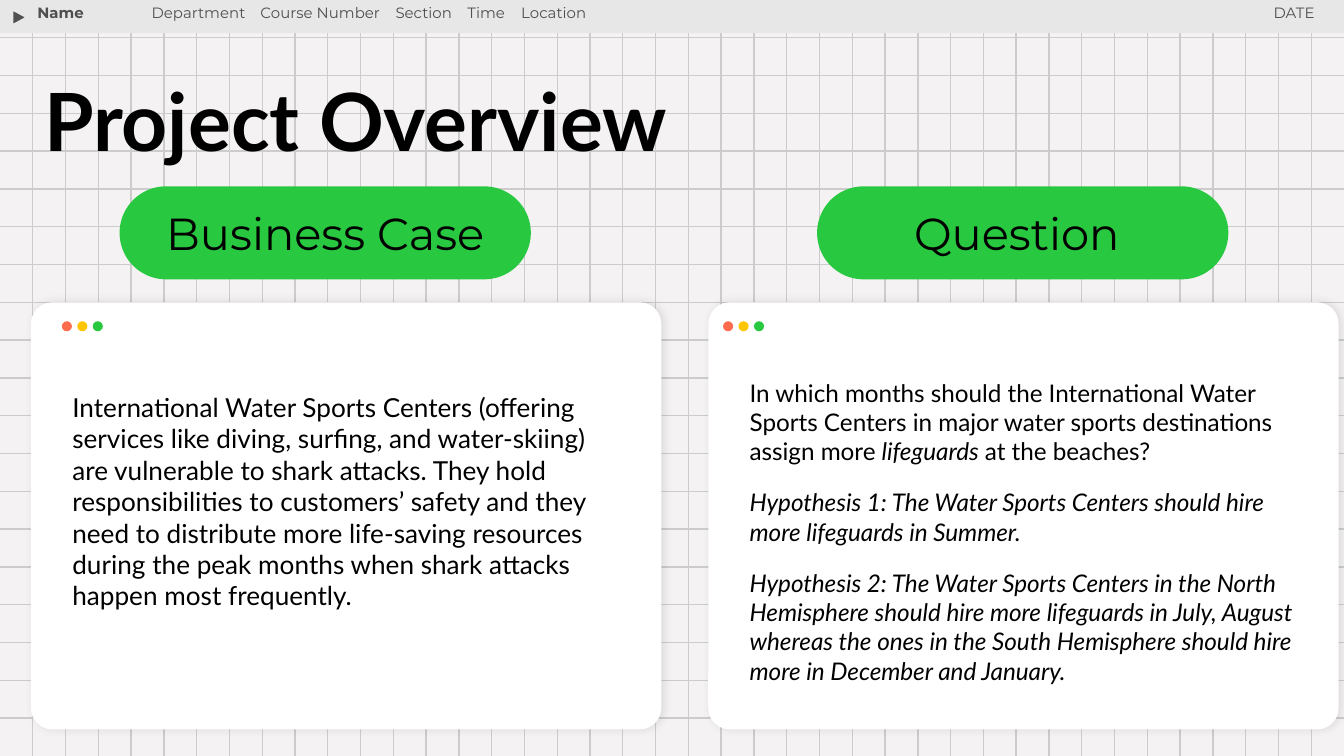
"""Build the Project Overview slide; places are percent of the slide's width and height."""
from dataclasses import dataclass
from typing import NamedTuple

from lxml.etree import SubElement
from pptx import Presentation
from pptx.dml.color import RGBColor
from pptx.enum.shapes import MSO_CONNECTOR, MSO_SHAPE
from pptx.enum.text import MSO_ANCHOR, PP_ALIGN
from pptx.oxml.ns import qn
from pptx.util import Emu, Inches, Pt

WIDE = Inches(10)
HIGH = int(WIDE * 9 / 16)
COLS, ROWS = 41, 20
BLACK, GREY, GREEN = "000000", "4F4F4F", "28C840"
LIGHTS = ("FF6B4D", "FFC600", GREEN)


class Box(NamedTuple):
    x: float
    y: float
    w: float
    h: float


class Run(NamedTuple):
    text: str
    slant: bool = False


@dataclass
class Style:
    size: float
    face: str = "Lato"
    ink: str = BLACK
    bold: bool = False
    align: PP_ALIGN = PP_ALIGN.LEFT
    gap: float = 0
    lead: float = 1.0
    tabs: tuple[float, ...] = ()


@dataclass
class Label:
    box: Box
    style: Style
    paras: list[list[Run]]


@dataclass
class Panel:
    left: float
    light: float
    pill: float
    head: str
    body: Label


def across(share: float) -> Emu:
    return Emu(round(WIDE * share / 100))


def down(share: float) -> Emu:
    return Emu(round(HIGH * share / 100))


def place(box: Box) -> tuple[Emu, Emu, Emu, Emu]:
    return across(box.x), down(box.y), across(box.w), down(box.h)


def tint(code: str) -> RGBColor:
    return RGBColor.from_string(code)


def draw_rule(slide, x1: float, y1: float, x2: float, y2: float) -> None:
    rule = slide.shapes.add_connector(
        MSO_CONNECTOR.STRAIGHT, across(x1), down(y1), across(x2), down(y2))
    rule.line.color.rgb = tint("CCCCCC")
    rule.line.width = Pt(0.75)
    SubElement(rule._element.spPr, qn("a:effectLst"))


def draw_shape(slide, kind: MSO_SHAPE, box: Box, fill: str, curve: float | None = None):
    shape = slide.shapes.add_shape(kind, *place(box))
    shape.shadow.inherit = False
    shape.fill.solid()
    shape.fill.fore_color.rgb = tint(fill)
    shape.line.fill.background()
    if curve is not None:
        shape.adjustments[0] = curve
    return shape


def add_glow(shape) -> None:
    glow = SubElement(shape._element.spPr.find(qn("a:effectLst")), qn("a:outerShdw"),
                      blurRad=str(Pt(4.5)), dist=str(Pt(1.5)), dir="0",
                      algn="bl", rotWithShape="0")
    shade = SubElement(glow, qn("a:srgbClr"), val=BLACK)
    SubElement(shade, qn("a:alpha"), val="10000")


def fill_text(frame, style: Style, paras: list[list[Run]]) -> None:
    frame.word_wrap = True
    frame.margin_left = frame.margin_right = Inches(0.1)
    frame.margin_top = frame.margin_bottom = Inches(0.1)
    for rank, runs in enumerate(paras):
        para = frame.add_paragraph() if rank else frame.paragraphs[0]
        para.alignment = style.align
        para.line_spacing = style.lead
        para.space_before = Pt(style.gap if rank else 0)
        if style.tabs:
            stops = SubElement(para._p.get_or_add_pPr(), qn("a:tabLst"))
            for stop in style.tabs:
                SubElement(stops, qn("a:tab"), pos=str(across(stop)), algn="l")
        for part in runs:
            run = para.add_run()
            run.text = part.text
            font = run.font
            font.name, font.size = style.face, Pt(style.size)
            font.bold, font.italic = style.bold, part.slant
            font.color.rgb = tint(style.ink)


def draw_label(slide, label: Label) -> None:
    frame = slide.shapes.add_textbox(*place(label.box)).text_frame
    frame.vertical_anchor = MSO_ANCHOR.TOP
    fill_text(frame, label.style, label.paras)


def draw_panel(slide, panel: Panel) -> None:
    card = draw_shape(slide, MSO_SHAPE.ROUNDED_RECTANGLE,
                      Box(panel.left, 40, 46.9, 56.5), "FFFFFF", 0.05)
    add_glow(card)
    for rank, light in enumerate(LIGHTS):
        draw_shape(slide, MSO_SHAPE.OVAL,
                   Box(panel.light + rank * 1.15, 42.5, 0.75, 1.33), light)
    draw_label(slide, panel.body)
    pill = draw_shape(slide, MSO_SHAPE.ROUNDED_RECTANGLE,
                      Box(panel.pill, 24.65, 30.6, 12.3), GREEN, 0.5)
    pill.text_frame.vertical_anchor = MSO_ANCHOR.MIDDLE
    fill_text(pill.text_frame, Style(24, "Montserrat", align=PP_ALIGN.CENTER),
              [[Run(panel.head)]])


def draw_back(slide) -> None:
    slide.background.fill.solid()
    slide.background.fill.fore_color.rgb = tint("F4F2F2")
    for row in range(ROWS - 1, 0, -1):
        draw_rule(slide, 0, row * 100 / ROWS, 100, row * 100 / ROWS)
    for col in range(COLS - 1, 0, -1):
        draw_rule(slide, col * 100 / COLS, 0, col * 100 / COLS, 100)
    draw_shape(slide, MSO_SHAPE.RECTANGLE, Box(0, 0, 100, 4.4), "E7E7E7")
    mark = draw_shape(slide, MSO_SHAPE.ISOSCELES_TRIANGLE, Box(0.9, 1.4, 1.1, 1.8), GREY)
    mark.rotation = 90
    mark.line.color.rgb = tint("E7E7E7")
    mark.line.width = Pt(0.75)


PANELS = [
    Panel(52.7, 53.8, 60.8, "Question ", Label(
        Box(54.8, 48.2, 42.6, 55.3), Style(13, gap=12), [
            [Run("In which months should the International Water Sports Centers in major "
                 "water sports destinations assign more "),
             Run("lifeguards", True), Run(" at the beaches?")],
            [Run("Hypothesis 1: The Water Sports Centers should hire more lifeguards "
                 "in Summer.", True)],
            [Run("Hypothesis 2: The Water Sports Centers in the North Hemisphere should "
                 "hire more lifeguards in July, August whereas the ones in the South "
                 "Hemisphere should hire more in December and January.", True)]])),
    Panel(2.3, 4.6, 8.9, "Business Case", Label(
        Box(4.4, 50, 42.6, 32.9), Style(14), [
            [Run("International Water Sports Centers (offering services like diving, "
                 "surfing, and water-skiing) are vulnerable to shark attacks. They hold "
                 "responsibilities to customers’ safety and they need to distribute more "
                 "life-saving resources during the peak months when shark attacks happen "
                 "most frequently.")]])),
]
LABELS = [
    Label(Box(2.3, 9.1, 82.6, 15.1), Style(43, bold=True, lead=0.9),
          [[Run("Project Overview")]]),
    Label(Box(1.8, -0.7, 12.8, 8.4), Style(8, "Montserrat", GREY, True), [[Run("Name")]]),
    Label(Box(10.3, -0.7, 41.7, 8.4),
          Style(8, "Montserrat", GREY, tabs=(8.1, 18.15, 23.5, 27.5)),
          [[Run("Department\tCourse Number\tSection\tTime\tLocation")]]),
    Label(Box(82.1, -0.7, 16.7, 8.4), Style(8, "Montserrat", GREY, align=PP_ALIGN.RIGHT),
          [[Run("DATE")]]),
]


def main() -> None:
    deck = Presentation()
    deck.slide_width, deck.slide_height = WIDE, HIGH
    slide = deck.slides.add_slide(deck.slide_layouts[6])
    draw_back(slide)
    for panel in PANELS:
        draw_panel(slide, panel)
    for label in LABELS:
        draw_label(slide, label)
    deck.save("out.pptx")


if __name__ == "__main__":
    main()
